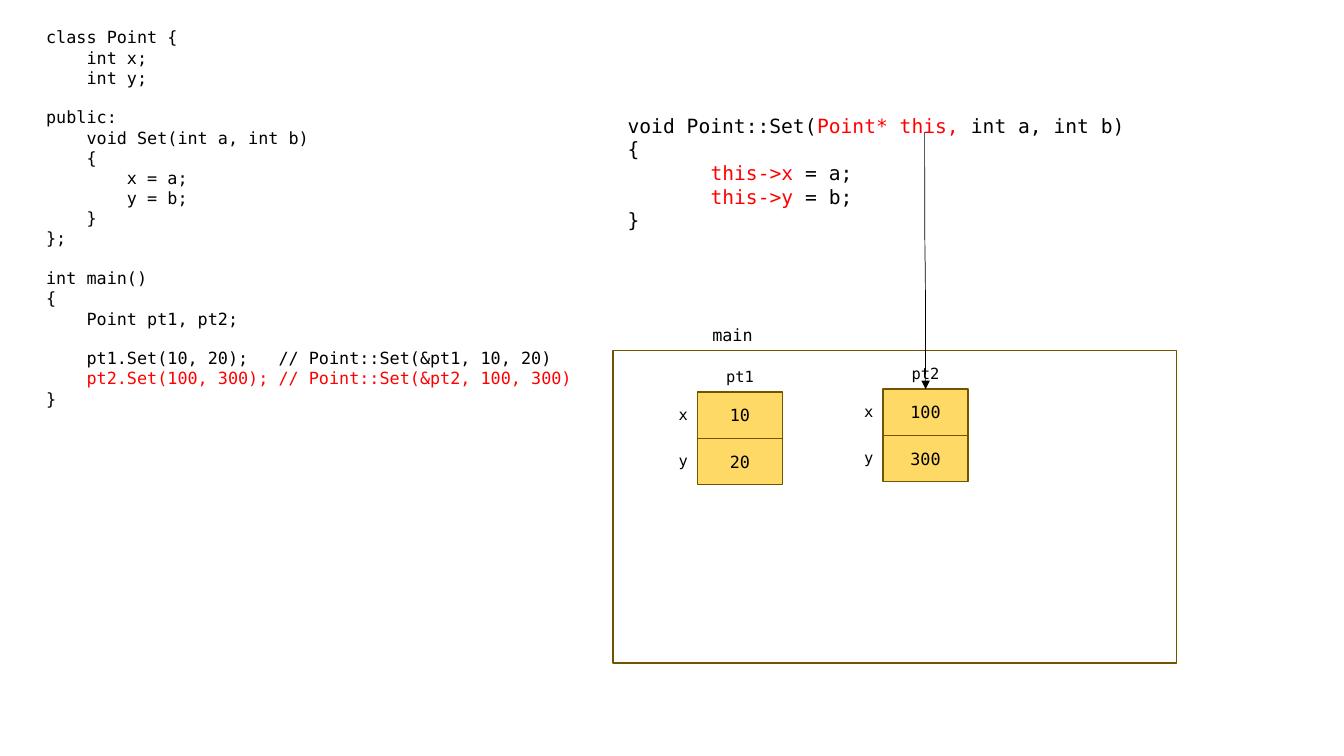
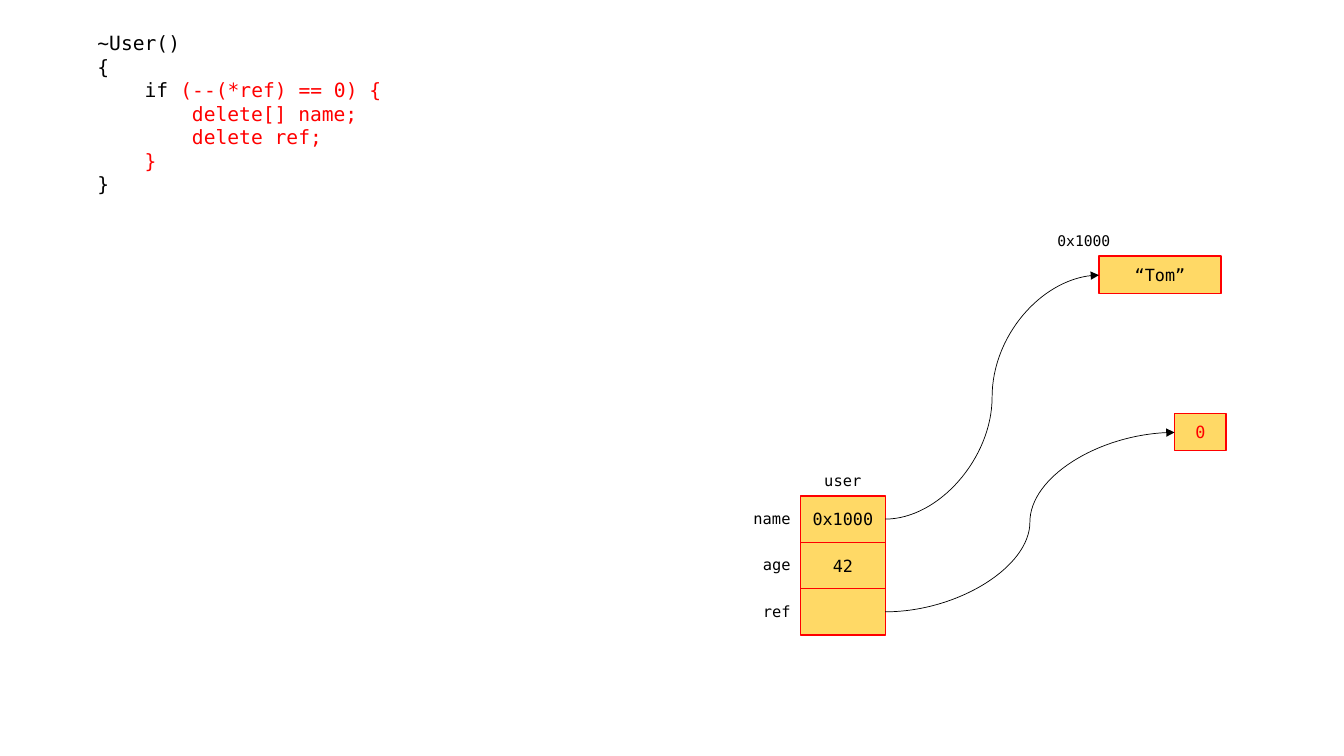
from pptx import Presentation
from pptx.dml.color import RGBColor
from pptx.enum.shapes import MSO_CONNECTOR, MSO_SHAPE
from pptx.enum.text import MSO_ANCHOR, PP_ALIGN
from pptx.oxml.ns import qn
from pptx.util import Inches, Pt
from lxml.etree import SubElement

FONT = "DejaVu Sans Mono"
BLACK, WHITE, RED = "000000", "FFFFFF", "FF0000"
GOLD, BROWN = "FFD966", "705400"
CELL_W, CELL_H = 0.84, 0.46
LABEL_W, LABEL_H = 0.75, 0.29
MARK = "|"

POINT_CLASS = """class Point {
    int x;
    int y;

public:
    void Set(int a, int b)
    {
        x = a;
        y = b;
    }
};

int main()
{
    Point pt1, pt2;

    pt1.Set(10, 20);   // Point::Set(&pt1, 10, 20)
|    pt2.Set(100, 300); // Point::Set(&pt2, 100, 300)
}"""

SET_METHOD = """ void Point::Set(|Point* this, |int a, int b)
 {
        |this->x| = a;
        |this->y| = b;
 }"""

DESTRUCTOR = """    ~User()
    {
        if |(--(*ref) == 0) {
|            delete[] name;
|            delete ref;
|        }
    }"""


def rgb(code):
    return RGBColor.from_string(code)


def style(paragraph, size, color=BLACK, align=PP_ALIGN.LEFT):
    paragraph.alignment = align
    paragraph.font.name = FONT
    paragraph.font.size = Pt(size)
    paragraph.font.color.rgb = rgb(color)


def text_frame(slide, box):
    frame = slide.shapes.add_textbox(*map(Inches, box)).text_frame
    frame.word_wrap = True
    return frame


def add_label(slide, box, text, size=11, align=PP_ALIGN.CENTER):
    paragraph = text_frame(slide, box).paragraphs[0]
    paragraph.text = text
    style(paragraph, size, align=align)


def add_code(slide, box, source, size):
    frame = text_frame(slide, box)
    paragraph, after_gap = frame.paragraphs[0], False
    for number, line in enumerate(source.split("\n")):
        if not line:
            after_gap = True
            continue
        if number:
            paragraph = frame.add_paragraph()
        parts = line.split(MARK)
        all_red = not parts[0] and len(parts) == 2
        style(paragraph, size, RED if all_red else BLACK)
        if after_gap:
            paragraph.space_before = Pt(size * 7 / 6)
            after_gap = False
        for index, part in enumerate(parts):
            if part:
                run = paragraph.add_run()
                run.text = part
                if index % 2 and not all_red:
                    run.font.color.rgb = rgb(RED)


def add_box(slide, box, line, text="", fill=GOLD, color=BLACK):
    shape = slide.shapes.add_shape(MSO_SHAPE.RECTANGLE, *map(Inches, box))
    shape.shadow.inherit = False
    shape.fill.solid()
    shape.fill.fore_color.rgb = rgb(fill)
    shape.line.color.rgb = rgb(line)
    shape.line.width = Pt(1)
    if text:
        frame = shape.text_frame
        frame.vertical_anchor = MSO_ANCHOR.MIDDLE
        frame.paragraphs[0].text = text
        style(frame.paragraphs[0], 12, color, PP_ALIGN.CENTER)


def add_object(slide, left, top, name, fields, line):
    for row, (field, value) in enumerate(fields):
        y = top + row * CELL_H
        add_box(slide, (left, y, CELL_W, CELL_H), line, value)
        add_label(slide, (left - LABEL_W, y + 0.08, LABEL_W, LABEL_H), field,
                  align=PP_ALIGN.RIGHT)
    add_label(slide, (left - 0.08, top - 0.3, CELL_W + 0.16, LABEL_H), name)


def add_pointer(slide, start, end, vertical=False):
    ends = [start, end]
    if vertical:
        mid_x, mid_y = (start[0] + end[0]) / 2, (start[1] + end[1]) / 2
        ends = [(mid_x - (y - mid_y), mid_y + (x - mid_x)) for x, y in ends]
    pointer = slide.shapes.add_connector(
        MSO_CONNECTOR.CURVE, *(Inches(v) for point in ends for v in point))
    pointer.line.color.rgb = rgb(BLACK)
    pointer.line.width = Pt(0.5)
    properties = pointer._element.spPr
    if vertical:
        properties.find(qn("a:xfrm")).set("rot", str(270 * 60000))
    SubElement(properties.find(qn("a:ln")), qn("a:tailEnd"), type="triangle")
    SubElement(properties, qn("a:effectLst"))


def add_main_frame(slide, left, top, width, height):
    add_box(slide, (left, top, width, height), BROWN, fill=WHITE)
    add_label(slide, (left + 0.19, top - 0.31, 1.99, 0.3), "main", 12)
    add_object(slide, left + 0.84, top + 0.41, "pt1",
               [("x", "10"), ("y", "20")], BROWN)
    add_object(slide, left + 2.68, top + 0.38, "pt2",
               [("x", "100"), ("y", "300")], BROWN)


def this_pointer_slide(slide):
    add_code(slide, (0.36, 0.22, 5.64, 3.94), POINT_CLASS, 12)
    add_main_frame(slide, 6.08, 3.48, 5.59, 3.1)
    add_code(slide, (6.01, 1.08, 6.67, 1.28), SET_METHOD, 14)
    add_pointer(slide, (9.17, 1.31), (9.18, 3.86), vertical=True)


def add_user_memory(slide, left, top):
    add_object(slide, left, top, "user",
               [("name", "0x1000"), ("age", "42"), ("ref", "")], RED)
    right = left + CELL_W
    targets = [
        (left + 2.96, top - 2.38, 1.21, 0, "“Tom”", BLACK),
        (left + 3.71, top - 0.82, 0.51, 2, "0", RED),
    ]
    for x, y, width, row, value, color in targets:
        add_box(slide, (x, y, width, 0.37), RED, value, color=color)
        add_pointer(slide, (right, top + (row + 0.5) * CELL_H), (x, y + 0.19))
    add_label(slide, (left + 2.45, top - 2.67, 0.77, LABEL_H), "0x1000", 10.5,
              PP_ALIGN.LEFT)


def destructor_slide(slide):
    add_user_memory(slide, 7.94, 4.92)
    add_code(slide, (0.4, 0.26, 6.67, 1.75), DESTRUCTOR, 14)


def main():
    deck = Presentation()
    deck.slide_width, deck.slide_height = Inches(13.33), Inches(7.5)
    for build in (this_pointer_slide, destructor_slide):
        build(deck.slides.add_slide(deck.slide_layouts[6]))
    deck.save("out.pptx")


if __name__ == "__main__":
    main()
